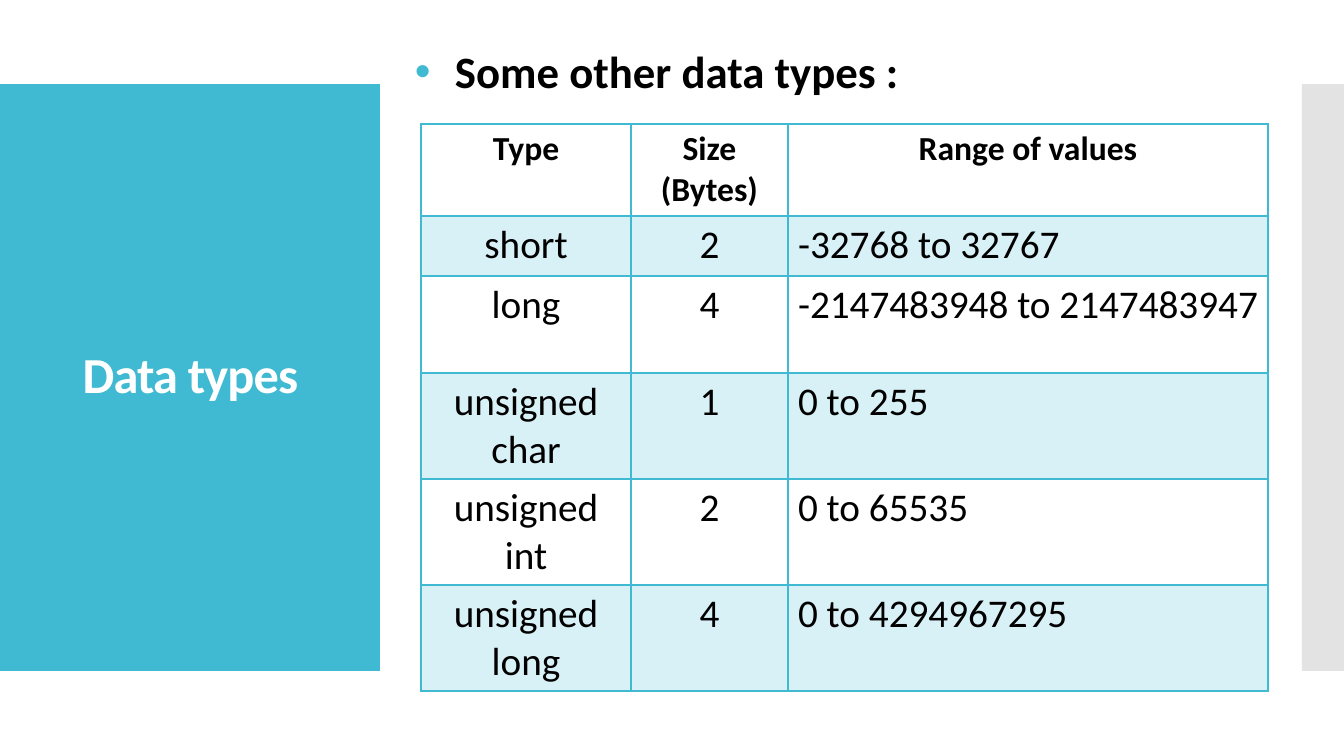
from lxml.etree import SubElement
from pptx import Presentation
from pptx.dml.color import RGBColor
from pptx.enum.shapes import MSO_SHAPE
from pptx.enum.text import MSO_ANCHOR, PP_ALIGN
from pptx.oxml.ns import qn
from pptx.util import Pt

SCALE = 12192000 / 1344
TEAL = "40BAD2"
BLACK = "000000"
WIDTHS = [210, 157, 480]
HEIGHTS = [92, 60, 97, 106, 106, 106]
ROWS = [
    ["Type", "Size (Bytes)", "Range of values"],
    ["short", "2", "-32768 to 32767"],
    ["long", "4", "-2147483948 to 2147483947"],
    ["unsigned char", "1", "0 to 255"],
    ["unsigned int", "2", "0 to 65535"],
    ["unsigned long", "4", "0 to 4294967295"],
]


def px(*sizes):
    """Turn pixel lengths into a list of EMU."""
    return [round(size * SCALE) for size in sizes]


def paint(fill, color, alpha=100):
    """Fill with a hex colour at a percentage of opacity."""
    fill.solid()
    fill.fore_color.rgb = RGBColor.from_string(color)
    if alpha < 100:
        tone = fill._xPr.find(qn("a:solidFill"))[0]
        SubElement(tone, qn("a:alpha"), val=str(alpha * 1000))


def panel(slide, box, color, alpha=100):
    """Draw a plain rectangle."""
    shape = slide.shapes.add_shape(MSO_SHAPE.RECTANGLE, *px(*box))
    shape.shadow.inherit = False
    paint(shape.fill, color, alpha)
    shape.line.fill.background()


def write(para, text, size, color, bold=False):
    """Add one styled run to a paragraph and return it."""
    run = para.add_run()
    run.text = text
    font = run.font
    font.name, font.size, font.bold = "Calibri", Pt(size), bold
    font.color.rgb = RGBColor.from_string(color)
    return run


def label(slide, box):
    """Add a text box without insets and return its paragraph."""
    frame = slide.shapes.add_textbox(*px(*box)).text_frame
    frame.word_wrap = True
    frame.vertical_anchor = MSO_ANCHOR.MIDDLE
    frame.margin_left = frame.margin_right = 0
    frame.margin_top = frame.margin_bottom = 0
    para = frame.paragraphs[0]
    para.line_spacing = 0.9
    return para


def bullet(para, indent, color):
    """Give a paragraph a coloured bullet with a hanging indent."""
    props = para._p.get_or_add_pPr()
    hang = px(indent)[0]
    props.set("marL", str(hang))
    props.set("indent", str(-hang))
    tone = SubElement(props, qn("a:buClr"))
    SubElement(tone, qn("a:srgbClr"), val=color)
    SubElement(props, qn("a:buFont"), typeface="Arial")
    SubElement(props, qn("a:buChar"), char="•")


def border(cell, side, width):
    """Draw one teal edge of a cell."""
    edge = SubElement(cell._tc.get_or_add_tcPr(), qn("a:ln" + side), w=str(Pt(width)))
    tone = SubElement(edge, qn("a:solidFill"))
    SubElement(tone, qn("a:srgbClr"), val=TEAL)


def style(cell, row, col, text):
    """Set the edges, fill and text of a table cell."""
    thick = {(0, "B"), (1, "T")}
    for side in "LRTB":
        border(cell, side, 2 if (row, side) in thick else 1)
    if row % 2:
        paint(cell.fill, TEAL, 20)
    else:
        cell.fill.background()
    para = cell.text_frame.paragraphs[0]
    head = row == 0
    para.alignment = PP_ALIGN.CENTER if head or col < 2 else PP_ALIGN.LEFT
    write(para, text, 24 if head else 28, BLACK, head)


def grid(slide, left, top):
    """Build the table of data types."""
    size = px(left, top, sum(WIDTHS), sum(HEIGHTS))
    table = slide.shapes.add_table(len(ROWS), len(WIDTHS), *size).table
    for col, width in zip(table.columns, px(*WIDTHS)):
        col.width = width
    for row, height in zip(table.rows, px(*HEIGHTS)):
        row.height = height
    for row, texts in enumerate(ROWS):
        for col, text in enumerate(texts):
            style(table.cell(row, col), row, col, text)


def main():
    """Build and save the slide."""
    deck = Presentation()
    deck.slide_width, deck.slide_height = px(1344, 756)
    slide = deck.slides.add_slide(deck.slide_layouts[6])
    panel(slide, (0, 84, 380, 587), TEAL)
    panel(slide, (1302, 84, 42, 587), "C8C8C8", 50)
    title = label(slide, (28, 124, 325, 507))
    title.alignment = PP_ALIGN.CENTER
    run = write(title, "Data types", 36, "FFFFFF", True)
    run.font._element.set("spc", "-60")
    topic = label(slide, (415, 49, 850, 50))
    bullet(topic, 40, TEAL)
    write(topic, "Some other data types :", 32, BLACK, True)
    grid(slide, 421, 124)
    deck.save("out.pptx")


if __name__ == "__main__":
    main()
